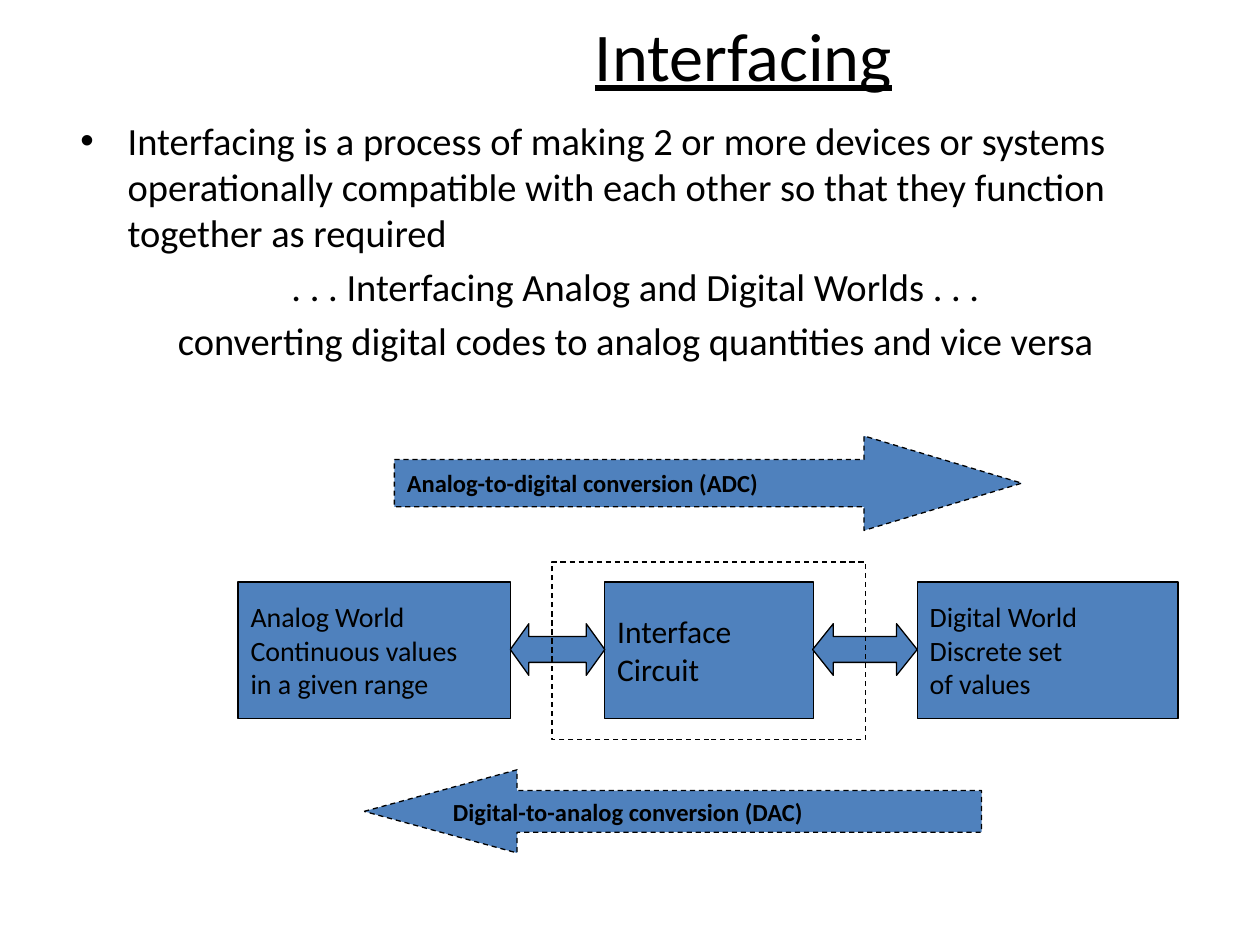
import copy

import pptx
import pptx.dml.color
import pptx.enum.dml
import pptx.enum.shapes
import pptx.enum.text
import pptx.oxml.ns
import pptx.util
from lxml import etree

Pt = pptx.util.Pt
SHAPE = pptx.enum.shapes.MSO_SHAPE
ANCHOR = pptx.enum.text.MSO_ANCHOR
ALIGN = pptx.enum.text.PP_ALIGN
qn = pptx.oxml.ns.qn

COLORS = {"text": "000000", "line": "000000", "box": "4F81BD", "paper": "FFFFFF"}
FONT = "Calibri"
BOX_TOP, BOX_HEIGHT = 332.64, 77.76
LINK_TOP, LINK_HEIGHT = 356.4, 29.52


def rgb(name):
    return pptx.dml.color.RGBColor.from_string(COLORS[name])


def format_runs(p, size, bold=False, underline=False):
    for r in p.runs:
        r.font.name = FONT
        r.font.size = Pt(size)
        r.font.bold = bold
        r.font.underline = underline
        r.font.color.rgb = rgb("text")
    for br in p._p.findall(qn("a:br")):
        br.append(copy.deepcopy(p.runs[0].font._element))


def add_title(s, text):
    sp = s.shapes.title
    sp.left, sp.top, sp.width, sp.height = Pt(129.6), Pt(0), Pt(590.4), Pt(61.92)
    tf = sp.text_frame
    tf.text = text
    tf.vertical_anchor = ANCHOR.MIDDLE
    p = tf.paragraphs[0]
    p.alignment = ALIGN.CENTER
    format_runs(p, 39, underline=True)


def set_bullet(p, left, hanging, char=None):
    pPr = p._p.get_or_add_pPr()
    pPr.set("marL", str(Pt(left)))
    pPr.set("indent", str(-Pt(hanging)))
    if char:
        etree.SubElement(pPr, qn("a:buFont")).set("typeface", "Arial")
        etree.SubElement(pPr, qn("a:buChar")).set("char", char)
    else:
        etree.SubElement(pPr, qn("a:buNone"))


def add_body(s, bullet, centred):
    sp = s.shapes.add_textbox(Pt(38.88), Pt(63.36), Pt(612.72), Pt(155.52))
    sp.fill.solid()
    sp.fill.fore_color.rgb = rgb("paper")
    tf = sp.text_frame
    tf.word_wrap = True
    tf.text = "\n".join([bullet] + centred)
    first, *rest = tf.paragraphs
    set_bullet(first, 27, 27, "•")
    for p in rest:
        p.level = 1
        p.alignment = ALIGN.CENTER
        p.space_before = Pt(4.4)
        set_bullet(p, 58.5, 22.5)
    for p in tf.paragraphs:
        format_runs(p, 22)


def add_block(s, kind, left, top, width, height, text="", size=16, bold=False,
              adjustments=(), filled=True, dashed=False):
    sp = s.shapes.add_shape(kind, Pt(left), Pt(top), Pt(width), Pt(height))
    sp.shadow.inherit = False
    for i, value in enumerate(adjustments):
        sp.adjustments[i] = value
    if filled:
        sp.fill.solid()
        sp.fill.fore_color.rgb = rgb("box")
    else:
        sp.fill.background()
    sp.line.color.rgb = rgb("line")
    sp.line.width = Pt(0.75)
    if dashed:
        sp.line.dash_style = pptx.enum.dml.MSO_LINE.DASH
    if text:
        tf = sp.text_frame
        tf.text = text
        tf.word_wrap = False
        tf.vertical_anchor = ANCHOR.MIDDLE
        for p in tf.paragraphs:
            p.alignment = ALIGN.LEFT
            format_runs(p, size, bold)


def add_box(s, left, width, text, size=16):
    add_block(s, SHAPE.RECTANGLE, left, BOX_TOP, width, BOX_HEIGHT, text, size)


def add_link(s, left, width, head):
    add_block(s, SHAPE.LEFT_RIGHT_ARROW, left, LINK_TOP, width, LINK_HEIGHT,
              adjustments=(0.5, head))


def add_conversion(s, kind, left, top, width, height, head, text):
    add_block(s, kind, left, top, width, height, text, 14, True, (0.5, head), dashed=True)


def main():
    prs = pptx.Presentation()
    prs.slide_width, prs.slide_height = Pt(720), Pt(540)
    s = prs.slides.add_slide(prs.slide_layouts[5])
    add_title(s, "Interfacing")
    add_body(
        s,
        "Interfacing is a process of making 2 or more devices or systems operationally "
        "compatible with each other so that they function together as required",
        [". . . Interfacing Analog and Digital Worlds . . .",
         "converting digital codes to analog quantities and vice versa"],
    )
    add_box(s, 136.08, 155.52, "Analog World\nContinuous values\vin a given range")
    add_box(s, 524.16, 149.04, "Digital World\nDiscrete set\vof values")
    add_box(s, 345.6, 119.52, "Interface\nCircuit", 18)
    add_link(s, 291.6, 54, 0.36)
    add_link(s, 464.4, 59.76, 0.4)
    add_block(s, SHAPE.RECTANGLE, 315.36, 321.12, 179.28, 101.52, filled=False, dashed=True)
    add_conversion(s, SHAPE.RIGHT_ARROW, 225.36, 249.12, 358.56, 54, 1.67,
                   "Analog-to-digital conversion (ADC)")
    add_conversion(s, SHAPE.LEFT_ARROW, 208.08, 439.92, 352.8, 47.52, 1.84,
                   "Digital-to-analog conversion (DAC)")
    prs.save("out.pptx")


if __name__ == "__main__":
    main()
